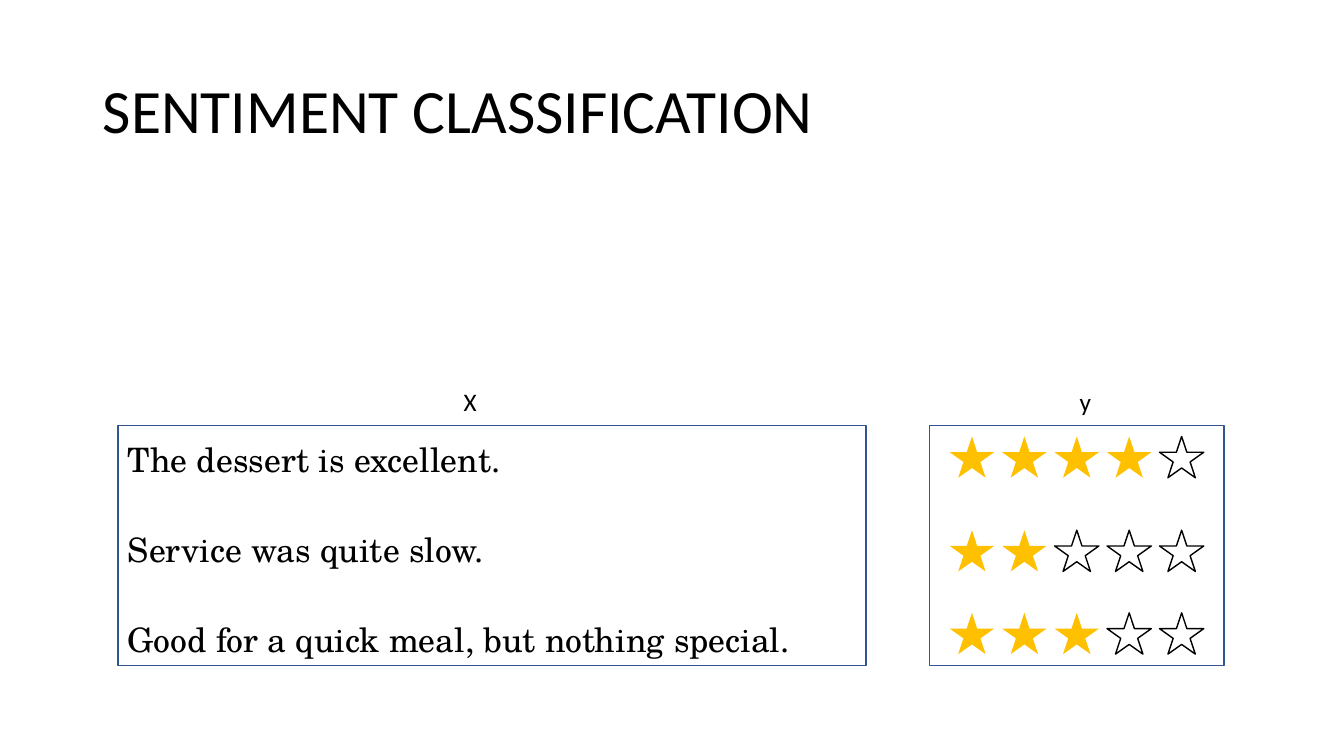
from pptx import Presentation
from pptx.dml.color import RGBColor
from pptx.enum.shapes import MSO_SHAPE
from pptx.enum.text import MSO_ANCHOR, PP_ALIGN
from pptx.util import Inches, Pt

BLACK = RGBColor(0x00, 0x00, 0x00)
GOLD = RGBColor(0xFF, 0xC0, 0x00)
FRAME_BLUE = RGBColor(0x32, 0x54, 0x91)

# Grid in inches: review rows, star columns
TEXT_LEFT = 1.17
STAR_LEFT, STAR_STEP = 9.42, 0.52
STAR_WIDTH, STAR_HEIGHT = 0.44, 0.41
MAX_STARS = 5
LABEL_TOP, FRAME_TOP = 3.78, 4.22

# Text, top of the text, top of the stars, rating
REVIEWS = [
    ("The dessert is excellent.", 4.31, 4.33, 4),
    ("Service was quite slow.", 5.2, 5.26, 2),
    ("Good for a quick meal, but nothing special.", 6.09, 6.08, 3),
]


def write(holder, text, size, font="Calibri", align=PP_ALIGN.LEFT,
          anchor=MSO_ANCHOR.TOP, spacing=1.0):
    frame = holder.text_frame
    frame.word_wrap = True
    frame.vertical_anchor = anchor
    line = frame.paragraphs[0]
    line.text = text
    line.alignment = align
    line.line_spacing = spacing
    line.font.name = font
    line.font.size = Pt(size)
    line.font.color.rgb = BLACK


def outline(kind, left, top, width, height, line=None, fill=None):
    shape = slide.shapes.add_shape(
        kind, Inches(left), Inches(top), Inches(width), Inches(height))
    shape.shadow.inherit = False
    if fill is None:
        shape.fill.background()
    else:
        shape.fill.solid()
        shape.fill.fore_color.rgb = fill
    if line is None:
        shape.line.fill.background()
    else:
        shape.line.color.rgb = line
        shape.line.width = Pt(1)


deck = Presentation()
deck.slide_width, deck.slide_height = Inches(13.33), Inches(7.5)
slide = deck.slides.add_slide(deck.slide_layouts[5])

# Title
title = slide.shapes.title
title.left, title.top = Inches(0.92), Inches(0.4)
title.width, title.height = Inches(11.5), Inches(1.45)
write(title, "SENTIMENT CLASSIFICATION", 44,
      anchor=MSO_ANCHOR.MIDDLE, spacing=0.9)

# Reviews with their star ratings
for review, text_top, star_top, rating in REVIEWS:
    sentence = slide.shapes.add_textbox(
        Inches(TEXT_LEFT), Inches(text_top), Inches(6.87), Inches(0.5))
    write(sentence, review, 24, font="TeX Gyre Schola")
    for column in range(MAX_STARS):
        earned = column < rating
        outline(MSO_SHAPE.STAR_5_POINT, STAR_LEFT + column * STAR_STEP,
                star_top, STAR_WIDTH, STAR_HEIGHT,
                line=None if earned else BLACK,
                fill=GOLD if earned else None)

# Frames and their column labels
for label, label_left, label_width, frame_left, frame_width in [
    ("X", 4.5, 0.37, TEXT_LEFT, 7.42),
    ("y", 10.61, 0.33, 9.22, 2.92),
]:
    outline(MSO_SHAPE.RECTANGLE, frame_left, FRAME_TOP, frame_width, 2.38,
            line=FRAME_BLUE)
    heading = slide.shapes.add_textbox(
        Inches(label_left), Inches(LABEL_TOP), Inches(label_width), Inches(0.4))
    write(heading, label, 18)

deck.save("out.pptx")
